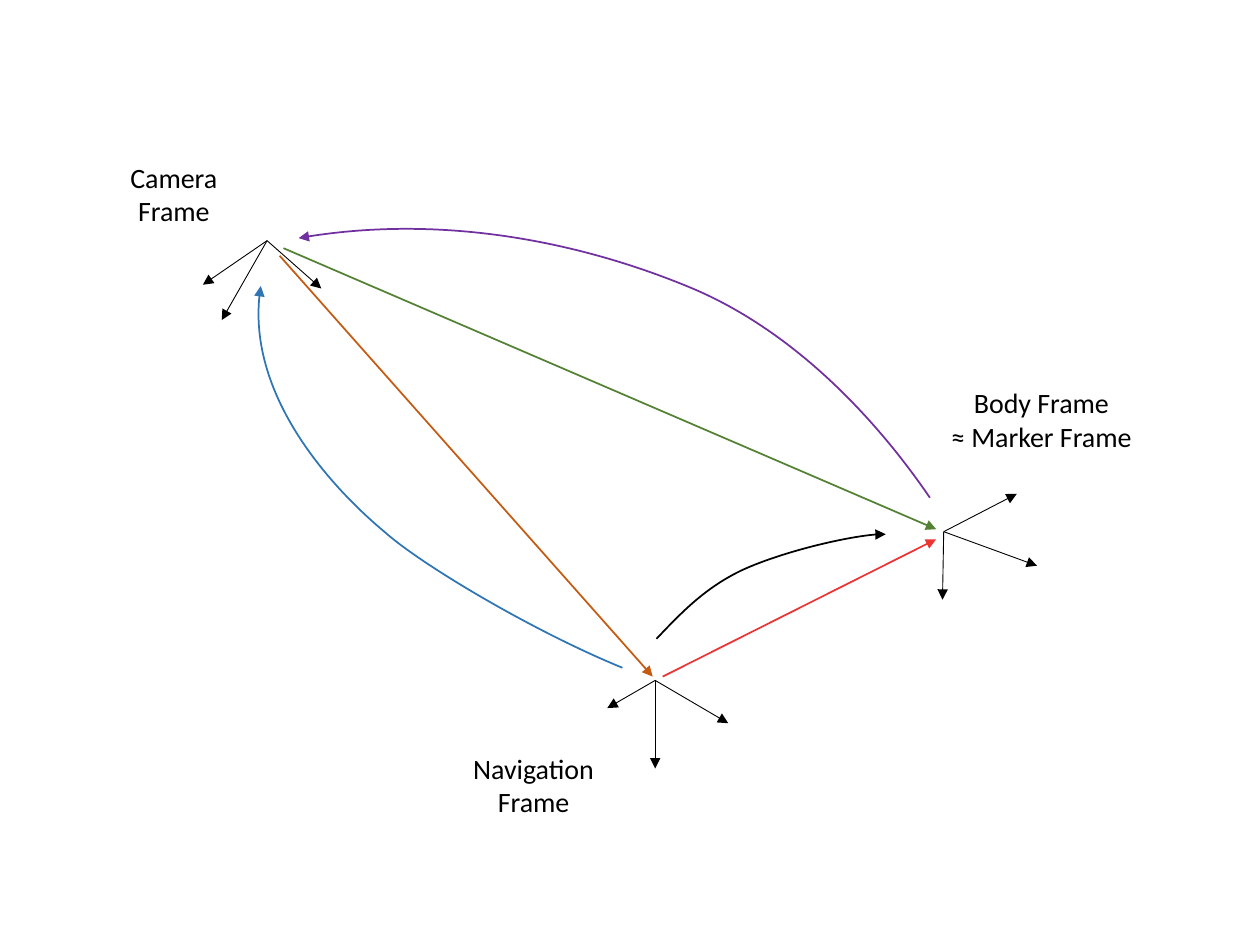
from dataclasses import dataclass

from lxml.etree import SubElement
from pptx import Presentation
from pptx.dml.color import RGBColor
from pptx.enum.shapes import MSO_CONNECTOR
from pptx.enum.text import MSO_ANCHOR, MSO_AUTO_SIZE, PP_ALIGN
from pptx.oxml.ns import qn
from pptx.util import Inches, Pt


@dataclass(frozen=True)
class Theme:
    font: str = "Calibri"
    label_size: int = 16
    axis_width: float = 0.5
    path_width: float = 1
    black: str = "000000"
    green: str = "548235"
    purple: str = "7030A0"
    orange: str = "C55A11"
    blue: str = "2E75B6"
    red: str = "EB3535"


def bezier_point(corners, t):
    weights = ((1 - t) ** 3, 3 * t * (1 - t) ** 2, 3 * t**2 * (1 - t), t**3)
    return tuple(sum(w * corner[axis] for w, corner in zip(weights, corners))
                 for axis in (0, 1))


class FrameDiagram:
    def __init__(self, page, theme):
        self.page = page
        self.theme = theme

    def style_line(self, shape, color, width, arrow_end):
        shape.line.color.rgb = RGBColor.from_string(color)
        shape.line.width = Pt(width)
        outline = shape.line._get_or_add_ln()
        SubElement(outline, qn(f"a:{arrow_end}"), type="triangle")

    def arrow(self, start, end, color, width):
        ends = [Inches(value) for value in (*start, *end)]
        connector = self.page.shapes.add_connector(MSO_CONNECTOR.STRAIGHT, *ends)
        self.style_line(connector, color, width, "tailEnd")
        SubElement(connector._element.spPr, qn("a:effectLst"))

    def axes(self, origin, tips):
        for tip in tips:
            self.arrow(origin, tip, self.theme.black, self.theme.axis_width)

    def curve(self, points, color, arrow_end):
        """Draw joined cubic curves: a start, then two controls and an end for each."""
        points = [(Inches(x), Inches(y)) for x, y in points]
        starts = range(0, len(points) - 1, 3)
        # Points along the curve give the outline its true bounds.
        samples = [bezier_point(points[i:i + 4], step / 20)
                   for i in starts for step in range(1, 21)]
        builder = self.page.shapes.build_freeform(*points[0])
        builder.add_line_segments(samples, close=False)
        shape = builder.convert_to_shape()

        path = shape._element.spPr.find(".//" + qn("a:path"))
        for segment in path.findall(qn("a:lnTo")):
            path.remove(segment)
        for i in starts:
            cubic = SubElement(path, qn("a:cubicBezTo"))
            for x, y in points[i + 1:i + 4]:
                SubElement(cubic, qn("a:pt"), x=str(x - shape.left),
                           y=str(y - shape.top))
        shape.shadow.inherit = False
        shape.fill.background()
        self.style_line(shape, color, self.theme.path_width, arrow_end)

    def label(self, text, left, top, width, height=0.54):
        box = self.page.shapes.add_textbox(*map(Inches, (left, top, width, height)))
        frame = box.text_frame
        frame.margin_left = frame.margin_right = 0
        frame.margin_top = frame.margin_bottom = 0
        frame.vertical_anchor = MSO_ANCHOR.MIDDLE
        frame.word_wrap = False
        frame.auto_size = MSO_AUTO_SIZE.SHAPE_TO_FIT_TEXT
        frame.text = text
        for para in frame.paragraphs:
            para.alignment = PP_ALIGN.CENTER
            para.font.name = self.theme.font
            para.font.size = Pt(self.theme.label_size)
            para.font.color.rgb = RGBColor.from_string(self.theme.black)


def main():
    deck = Presentation()
    deck.slide_width, deck.slide_height = Inches(10), Inches(7.5)
    theme = Theme()
    diagram = FrameDiagram(deck.slides.add_slide(deck.slide_layouts[6]), theme)

    diagram.axes((7.49, 4.22), [(8.07, 3.92), (7.48, 4.76), (8.23, 4.49)])
    diagram.label("Body Frame\v≈ Marker Frame", 7.54, 3.06, 1.45)

    diagram.axes((5.2, 5.4), [(5.78, 5.74), (5.2, 6.1), (4.82, 5.62)])
    diagram.label("Navigation\nFrame", 3.75, 5.96, 0.97)
    diagram.curve([(5.21, 5.07), (5.41, 4.86), (5.6, 4.66), (5.9, 4.52),
                   (6.21, 4.38), (6.83, 4.23), (7.03, 4.24)],
                  theme.black, "tailEnd")

    diagram.axes((2.12, 1.91), [(1.61, 2.26), (2.55, 2.29), (1.76, 2.54)])
    diagram.label("Camera\nFrame", 1.03, 1.27, 0.7)

    diagram.arrow((2.25, 1.97), (7.43, 4.2), theme.green, theme.path_width)
    diagram.curve([(2.37, 1.89), (3.5, 1.69), (4.62, 1.93), (5.45, 2.27),
                   (6.29, 2.61), (6.95, 3.32), (7.38, 3.95)],
                  theme.purple, "headEnd")
    diagram.arrow((2.22, 2.03), (5.18, 5.37), theme.orange, theme.path_width)
    diagram.curve([(2.07, 2.27), (1.92, 3.18), (2.75, 3.97), (3.05, 4.22),
                   (3.34, 4.48), (4.23, 5.01), (4.94, 5.3)],
                  theme.blue, "headEnd")
    diagram.arrow((5.26, 5.37), (7.43, 4.28), theme.red, theme.path_width)

    deck.save("out.pptx")


if __name__ == "__main__":
    main()
